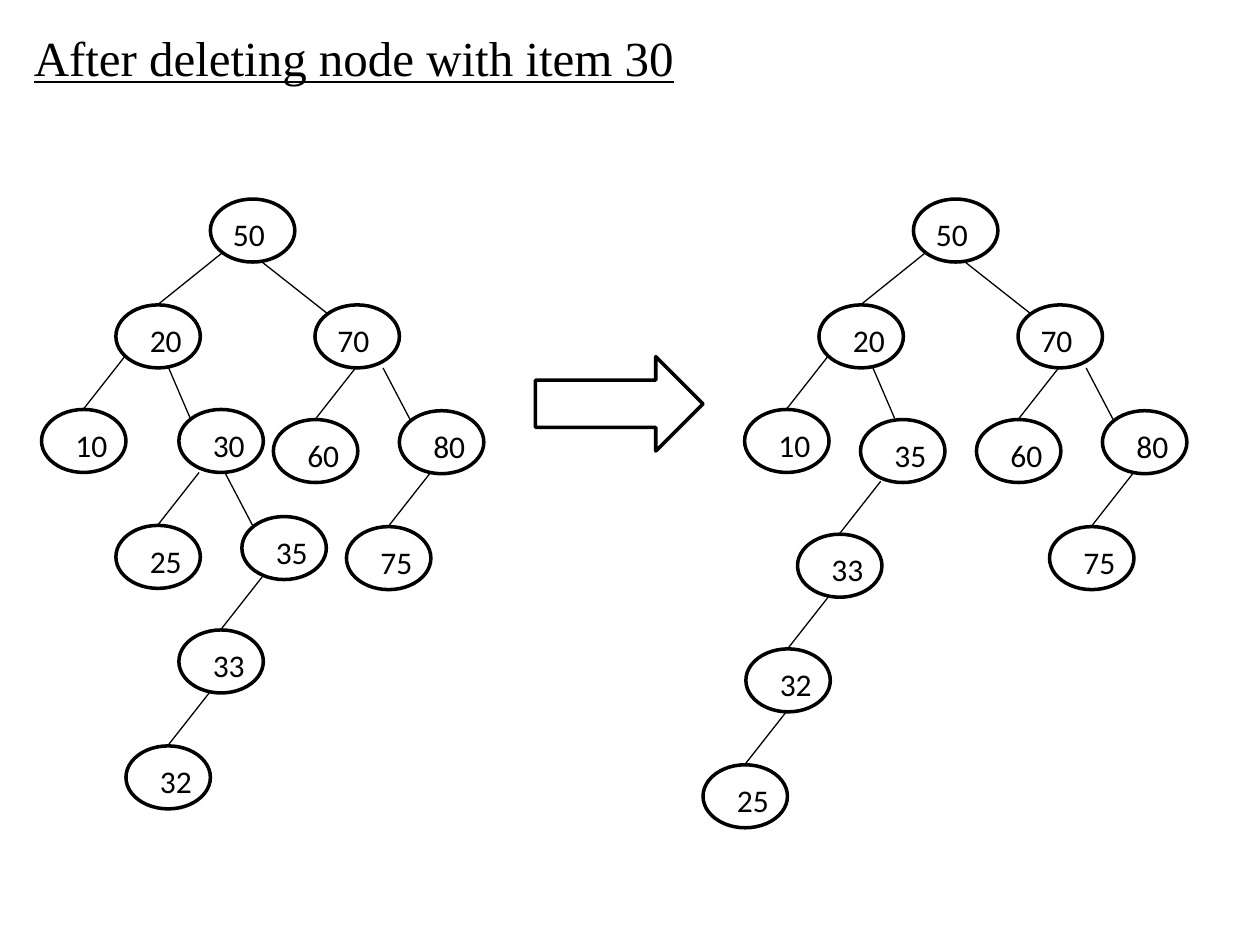
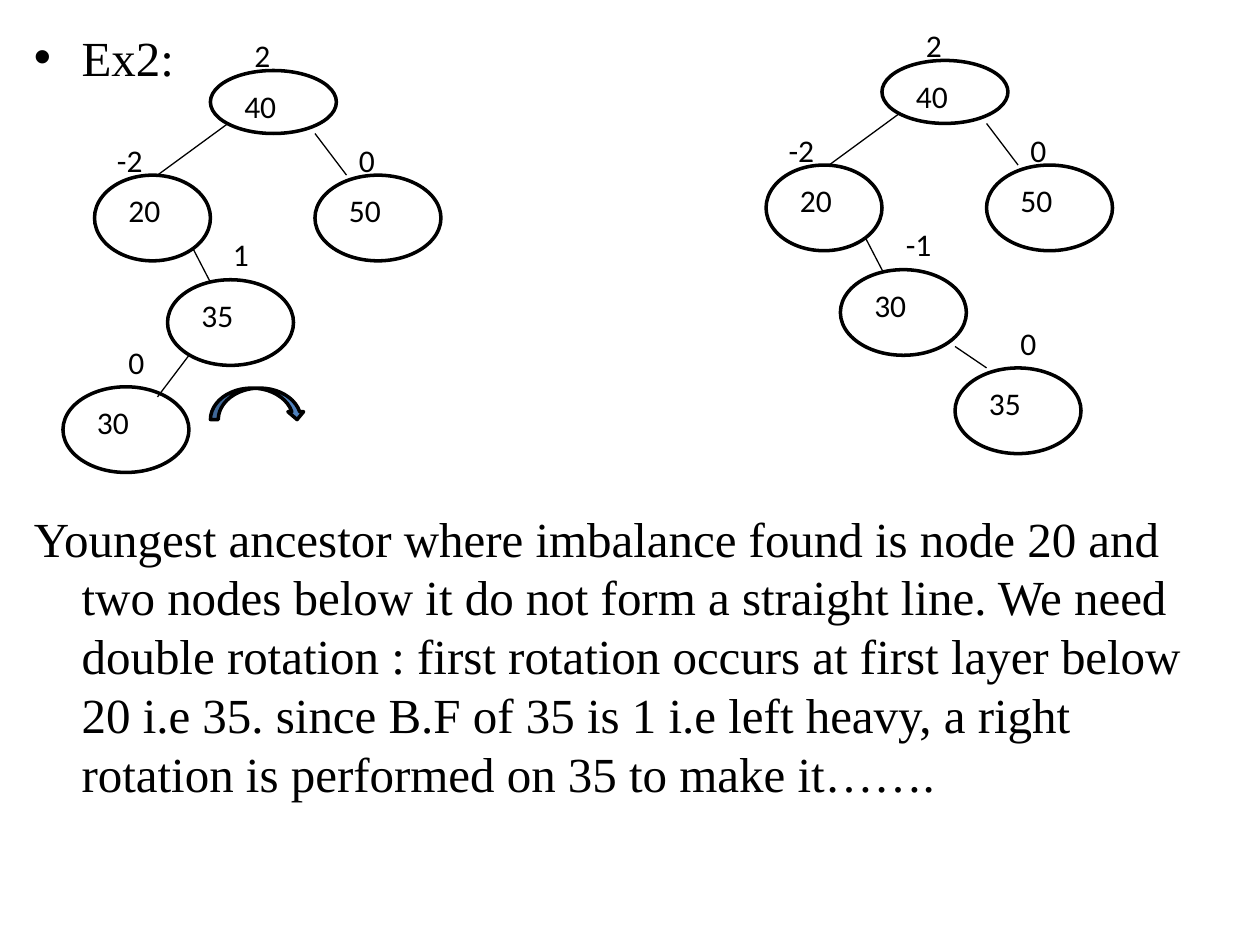
from dataclasses import dataclass

from lxml import etree
from pptx import Presentation
from pptx.dml.color import RGBColor
from pptx.enum.shapes import MSO_CONNECTOR, MSO_SHAPE
from pptx.oxml.ns import qn
from pptx.util import Inches, Pt

OVAL = MSO_SHAPE.OVAL
RIGHT_ARROW = MSO_SHAPE.RIGHT_ARROW
CURVED_ARROW = MSO_SHAPE.CURVED_DOWN_ARROW
STRAIGHT = MSO_CONNECTOR.STRAIGHT

BLACK, WHITE, BLUE = "000000", "FFFFFF", "4F81BD"
BODY_FONT, LABEL_FONT = "Times New Roman", "Calibri"


@dataclass(frozen=True)
class Link:
    """Line to the parent: where it meets the node, and its run from there."""
    x: float
    y: float
    run_x: float
    run_y: float


@dataclass(frozen=True)
class Node:
    key: str
    left: float
    top: float
    link: Link | None = None
    label_x: float = 0.17
    width: float = 0.67
    height: float = 0.5


@dataclass(frozen=True)
class Balance:
    """Balance factor, placed relative to its node."""
    text: str
    x: float = 0.25
    y: float = -0.32


@dataclass(frozen=True)
class BodyLine:
    text: str
    bullet: bool = False
    underline: bool = False
    space_before: float = 0


# Links shared by the nodes of the first slide
TO_LEFT = Link(0.33, 0, 0.33, -0.42)
TO_RIGHT = Link(0.09, 0.08, -0.22, -0.42)

# Nodes that deletion leaves in place
KEPT_NODES = [
    Node("50", 1.67, 1.58, label_x=0.08),
    Node("20", 0.92, 2.42, Link(0.33, 0, 0.51, -0.41)),
    Node("70", 2.5, 2.42, Link(0.1, 0.07, -0.52, -0.41), label_x=0.08),
    Node("10", 0.33, 3.25, TO_LEFT),
    Node("60", 2.17, 3.33, TO_LEFT),
    Node("80", 3.17, 3.26, TO_RIGHT),
    Node("75", 2.75, 4.18, TO_LEFT),
]
BEFORE_NODES = [
    Node("30", 1.42, 3.25, Link(0.09, 0.07, -0.18, -0.42)),
    Node("25", 0.92, 4.17, TO_LEFT),
    Node("35", 1.92, 4.1, TO_RIGHT),
    Node("33", 1.42, 5, TO_LEFT),
    Node("32", 1, 5.92, TO_LEFT),
]
AFTER_NODES = [
    Node("35", 6.83, 3.33, Link(0.27, -0.01, -0.18, -0.42)),
    Node("33", 6.33, 4.24, TO_LEFT),
    Node("32", 5.92, 5.15, TO_LEFT),
    Node("25", 5.58, 6.07, TO_LEFT),
]

# Second slide: top of the tree, and the link to the rotated node
TOP_NODES = [
    (Node("40", 1.67, 0.56, width=1), Balance("2")),
    (Node("20", 0.75, 1.39, Link(0.5, 0, 0.56, -0.41), width=0.92, height=0.68),
     Balance("-2", 0.08)),
    (Node("50", 2.5, 1.39, Link(0.25, 0, -0.25, -0.33), width=1, height=0.68),
     Balance("0")),
]
TO_PIVOT = Link(0.34, 0.02, -0.14, -0.27)
UNROTATED = [
    (Node("35", 1.33, 2.22, TO_PIVOT, width=1, height=0.68), Balance("1", 0.42, -0.4)),
    (Node("30", 0.5, 3.07, Link(0.75, 0.08, 0.25, -0.33), width=1, height=0.68),
     Balance("0", 0.42, -0.4)),
]
ROTATED = [
    (Node("30", 6.67, 2.14, TO_PIVOT, width=1, height=0.68), Balance("-1", 0.42, -0.4)),
    (Node("35", 7.58, 2.92, Link(0.25, 0, -0.25, -0.17), width=1, height=0.68),
     Balance("0", 0.42, -0.4)),
]

EXPLANATION = (
    "Youngest ancestor where imbalance found is node 20 and two nodes below it "
    "do not form a straight line. We need double rotation : first rotation occurs "
    "at first layer below 20 i.e 35. since B.F of 35 is 1 i.e left heavy, a right "
    "rotation is performed on 35 to make it……."
)


def color(value: str) -> RGBColor:
    return RGBColor.from_string(value)


def add_outlined(slide, kind, left: float, top: float, width: float,
                 height: float, fill: str = WHITE) -> None:
    shape = slide.shapes.add_shape(
        kind, Inches(left), Inches(top), Inches(width), Inches(height))
    shape.shadow.inherit = False
    shape.fill.solid()
    shape.fill.fore_color.rgb = color(fill)
    shape.line.color.rgb = color(BLACK)
    shape.line.width = Pt(2)


def add_label(slide, text: str, left: float, top: float, width: float) -> None:
    box = slide.shapes.add_textbox(
        Inches(left), Inches(top), Inches(width), Inches(0.4))
    box.text_frame.word_wrap = True
    box.text_frame.text = text
    font = box.text_frame.paragraphs[0].runs[0].font
    font.name, font.size = LABEL_FONT, Pt(18)
    font.color.rgb = color(BLACK)


def add_link(slide, x: float, y: float, link: Link) -> None:
    start_x, start_y = x + link.x, y + link.y
    connector = slide.shapes.add_connector(
        STRAIGHT, Inches(start_x), Inches(start_y),
        Inches(start_x + link.run_x), Inches(start_y + link.run_y))
    connector.line.color.rgb = color(BLACK)
    connector.line.width = Pt(0.75)
    etree.SubElement(connector._element.spPr, qn("a:effectLst"))


def add_tree(slide, nodes: list[Node], dx: float = 0, dy: float = 0) -> None:
    for node in nodes:
        left, top = node.left + dx, node.top + dy
        add_outlined(slide, OVAL, left, top, node.width, node.height)
        add_label(slide, node.key, left + node.label_x, top + 0.08, 0.58)
    # Lines lie over the ovals
    for node in nodes:
        if node.link:
            add_link(slide, node.left + dx, node.top + dy, node.link)


def add_balanced_tree(slide, entries: list[tuple[Node, Balance]],
                      dx: float = 0, dy: float = 0) -> None:
    add_tree(slide, [node for node, _ in entries], dx, dy)
    for node, balance in entries:
        add_label(slide, balance.text, node.left + dx + balance.x,
                  node.top + dy + balance.y, 0.42)


def add_body(slide, lines: list[BodyLine]) -> None:
    box = slide.shapes.add_textbox(
        Inches(0.17), Inches(0.17), Inches(9.67), Inches(7.17))
    frame = box.text_frame
    frame.word_wrap = True
    frame.text = "\n".join(line.text for line in lines)
    for paragraph, line in zip(frame.paragraphs, lines):
        properties = paragraph._p.get_or_add_pPr()
        properties.set("marL", str(Inches(0.38)))
        properties.set("indent", str(-Inches(0.38)))
        if line.bullet:
            etree.SubElement(properties, qn("a:buFont")).set("typeface", "Arial")
            etree.SubElement(properties, qn("a:buChar")).set("char", "•")
        paragraph.line_spacing = Pt(33.6)
        if line.space_before:
            paragraph.space_before = Pt(line.space_before)
        font = paragraph.runs[0].font
        font.name, font.size, font.underline = BODY_FONT, Pt(28), line.underline
        font.color.rgb = color(BLACK)


def build_deletion_slide(slide) -> None:
    add_body(slide, [BodyLine("After deleting node with item 30", underline=True)])
    add_tree(slide, KEPT_NODES + BEFORE_NODES)
    add_outlined(slide, RIGHT_ARROW, 4.25, 2.83, 1.33, 0.75)
    add_tree(slide, KEPT_NODES, dx=5.58)
    add_tree(slide, AFTER_NODES)


def build_rotation_slide(slide) -> None:
    add_body(slide, [BodyLine("Ex2:", bullet=True),
                     BodyLine(EXPLANATION, space_before=241)])
    add_balanced_tree(slide, TOP_NODES + UNROTATED)
    add_balanced_tree(slide, TOP_NODES, dx=5.33, dy=-0.08)
    add_balanced_tree(slide, ROTATED)
    add_outlined(slide, CURVED_ARROW, 1.67, 3.08, 0.75, 0.25, BLUE)


def main() -> None:
    presentation = Presentation()
    presentation.slide_width = Inches(10)
    presentation.slide_height = Inches(7.5)
    blank = presentation.slide_layouts[6]
    for build in (build_deletion_slide, build_rotation_slide):
        build(presentation.slides.add_slide(blank))
    presentation.save("out.pptx")


if __name__ == "__main__":
    main()
